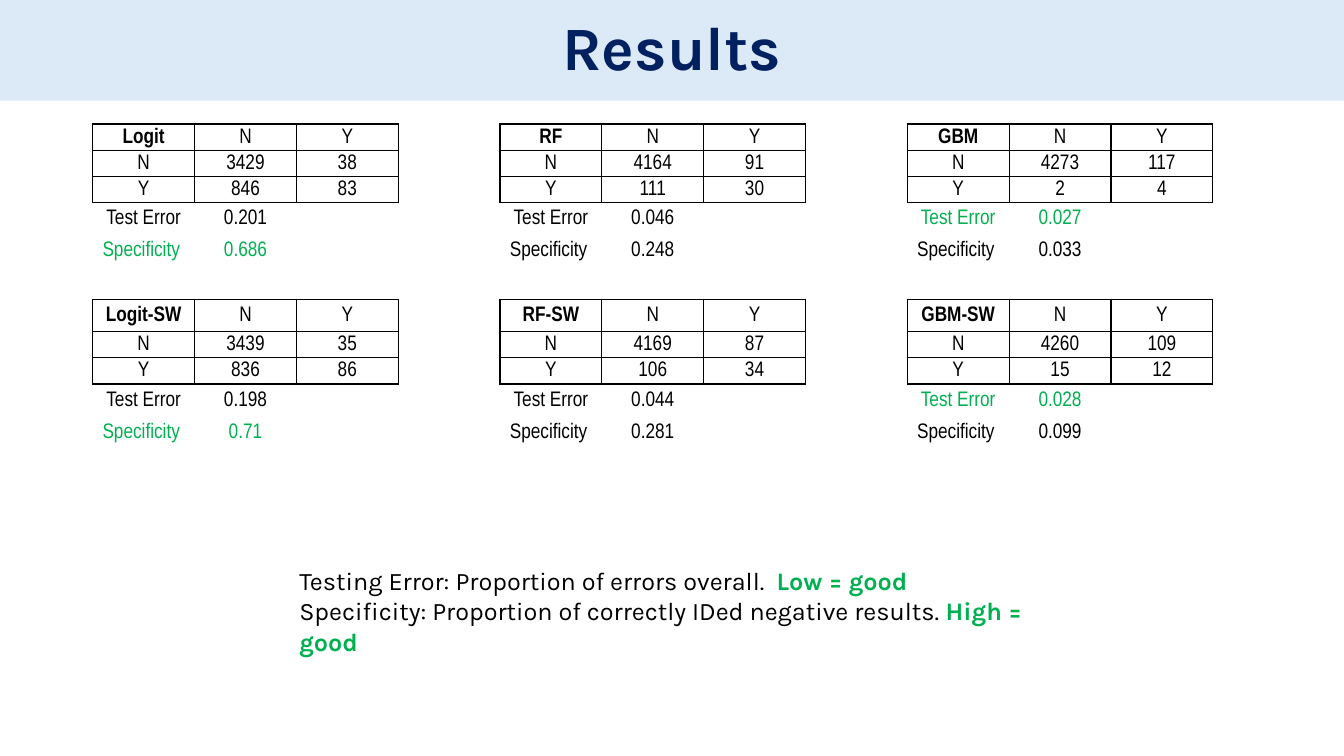
from lxml import etree
from pptx import Presentation
from pptx.dml.color import RGBColor
from pptx.enum.shapes import MSO_SHAPE
from pptx.enum.text import MSO_ANCHOR, PP_ALIGN
from pptx.oxml.ns import qn
from pptx.util import Inches, Pt

RECTANGLE = MSO_SHAPE.RECTANGLE
MIDDLE = MSO_ANCHOR.MIDDLE
CENTER = PP_ALIGN.CENTER

BLACK, GREEN, NAVY, PALE_BLUE = "000000", "00B050", "002060", "DCEAF7"
HEADING_FONT, TABLE_FONT = "Karla", "Arial Narrow"

COLUMN_WIDTH = 1.01
ROW_HEIGHTS = [0.26, 0.26, 0.26, 0.32, 0.32, 0.16, 0.16, 0.32, 0.26, 0.26, 0.32, 0.32]
BLOCK_COLUMNS, BLOCK_ROWS = 4, 7  # distance from one model to the next
MATRIX_SIZE = 3

# Name, confusion matrix rows, test error, specificity, measure that is good
MODELS = [
    [("Logit", ("3429", "38"), ("846", "83"), "0.201", "0.686", "Specificity "),
     ("RF", ("4164", "91"), ("111", "30"), "0.046", "0.248", None),
     ("GBM", ("4273", "117"), ("2", "4"), "0.027", "0.033", "Test Error")],
    [("Logit-SW", ("3439", "35"), ("836", "86"), "0.198", "0.71", "Specificity "),
     ("RF-SW", ("4169", "87"), ("106", "34"), "0.044", "0.281", None),
     ("GBM-SW", ("4260", "109"), ("15", "12"), "0.028", "0.099", "Test Error")],
]
NOTES = [
    ("Testing Error: Proportion of errors overall.  ", "Low = good"),
    ("Specificity: Proportion of correctly IDed negative results. ", "High = good"),
]


def rgb(color):
    return RGBColor.from_string(color)


def add_run(p, text, size, font, color=BLACK, bold=False):
    r = p.add_run()
    r.text = text
    for name, value in {"size": Pt(size), "name": font, "bold": bold}.items():
        setattr(r.font, name, value)
    r.font.color.rgb = rgb(color)


def add_title(slide, x, y, w, h):
    sp = slide.shapes.add_shape(RECTANGLE, Inches(x), Inches(y), Inches(w), Inches(h))
    sp.shadow.inherit = False
    sp.fill.solid()
    sp.fill.fore_color.rgb = rgb(PALE_BLUE)
    sp.line.fill.background()
    sp.text_frame.vertical_anchor = MIDDLE
    p = sp.text_frame.paragraphs[0]
    p.alignment, p.line_spacing = CENTER, 0.9
    add_run(p, "Results", 44, HEADING_FONT, NAVY, True)


def in_matrix(row, col):
    return (0 <= row < len(ROW_HEIGHTS) and col >= 0
            and row % BLOCK_ROWS < MATRIX_SIZE and col % BLOCK_COLUMNS < MATRIX_SIZE)


def set_borders(cell, row, col):
    """Draw an edge wherever it touches a confusion matrix."""
    neighbours = {"a:lnL": (row, col - 1), "a:lnR": (row, col + 1),
                  "a:lnT": (row - 1, col), "a:lnB": (row + 1, col)}
    tc_pr = cell._tc.get_or_add_tcPr()
    for position, (tag, beside) in enumerate(neighbours.items()):
        ln = etree.Element(qn(tag), w=str(Pt(1)))
        if in_matrix(row, col) or in_matrix(*beside):
            fill = etree.SubElement(ln, qn("a:solidFill"))
            etree.SubElement(fill, qn("a:srgbClr"), val=BLACK)
        else:
            etree.SubElement(ln, qn("a:noFill"))
        tc_pr.insert(position, ln)


def model_cells(model):
    """Yield row, column, text, colour and weight of each filled cell."""
    name, actual_n, actual_y, error, specificity, good = model
    matrix = [(name, "N", "Y"), ("N", *actual_n), ("Y", *actual_y)]
    measures = [("Test Error", error), ("Specificity ", specificity)]
    for row, texts in enumerate(matrix + measures):
        color = GREEN if texts[0] == good else BLACK
        for col, text in enumerate(texts):
            yield row, col, text, color, row == col == 0


def add_results_table(slide, x, y):
    columns = len(MODELS[0]) * BLOCK_COLUMNS - 1
    frame = slide.shapes.add_table(len(ROW_HEIGHTS), columns, Inches(x), Inches(y),
                                   Inches(columns * COLUMN_WIDTH), Inches(sum(ROW_HEIGHTS)))
    table = frame.table
    table.first_row = table.horz_banding = False
    for column in table.columns:
        column.width = Inches(COLUMN_WIDTH)
    for row, height in zip(table.rows, ROW_HEIGHTS):
        row.height = Inches(height)

    contents = {}
    for i, models in enumerate(MODELS):
        for j, model in enumerate(models):
            for row, col, *content in model_cells(model):
                contents[i * BLOCK_ROWS + row, j * BLOCK_COLUMNS + col] = content

    margins = {"margin_left": 0.01, "margin_right": 0.01, "margin_top": 0.01, "margin_bottom": 0}
    for row in range(len(ROW_HEIGHTS)):
        for col in range(columns):
            cell = table.cell(row, col)
            cell.fill.background()
            cell.vertical_anchor = MIDDLE
            for name, value in margins.items():
                setattr(cell, name, Inches(value))
            set_borders(cell, row, col)
            p = cell.text_frame.paragraphs[0]
            p.alignment = CENTER
            if (row, col) in contents:
                text, color, bold = contents[row, col]
                add_run(p, text, 15, TABLE_FONT, color, bold)
            else:  # small type keeps the narrow rows at their height
                etree.SubElement(p._p, qn("a:endParaRPr"), sz="800")


def add_notes(slide, x, y, w, h):
    tf = slide.shapes.add_textbox(Inches(x), Inches(y), Inches(w), Inches(h)).text_frame
    tf.word_wrap = True
    for i, (text, verdict) in enumerate(NOTES):
        p = tf.add_paragraph() if i else tf.paragraphs[0]
        add_run(p, text, 18, HEADING_FONT)
        add_run(p, verdict, 18, HEADING_FONT, GREEN, True)


def main():
    prs = Presentation()
    prs.slide_width, prs.slide_height = Inches(13.33), Inches(7.5)
    slide = prs.slides.add_slide(prs.slide_layouts[6])
    add_title(slide, 0, 0, 13.33, 1)
    add_notes(slide, 2.87, 5.56, 7.9, 0.71)
    add_results_table(slide, 0.92, 1.23)
    prs.save("out.pptx")


if __name__ == "__main__":
    main()
